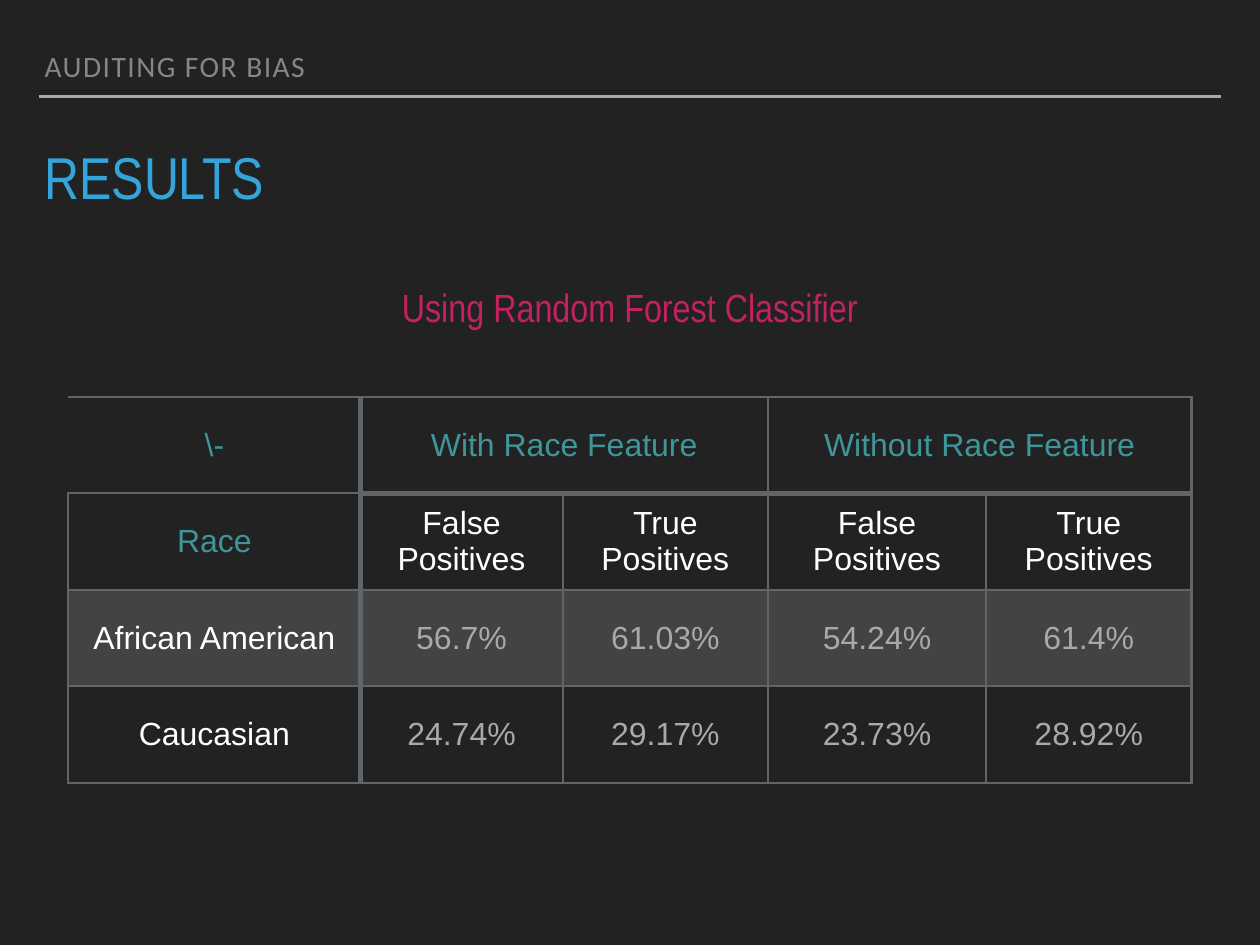
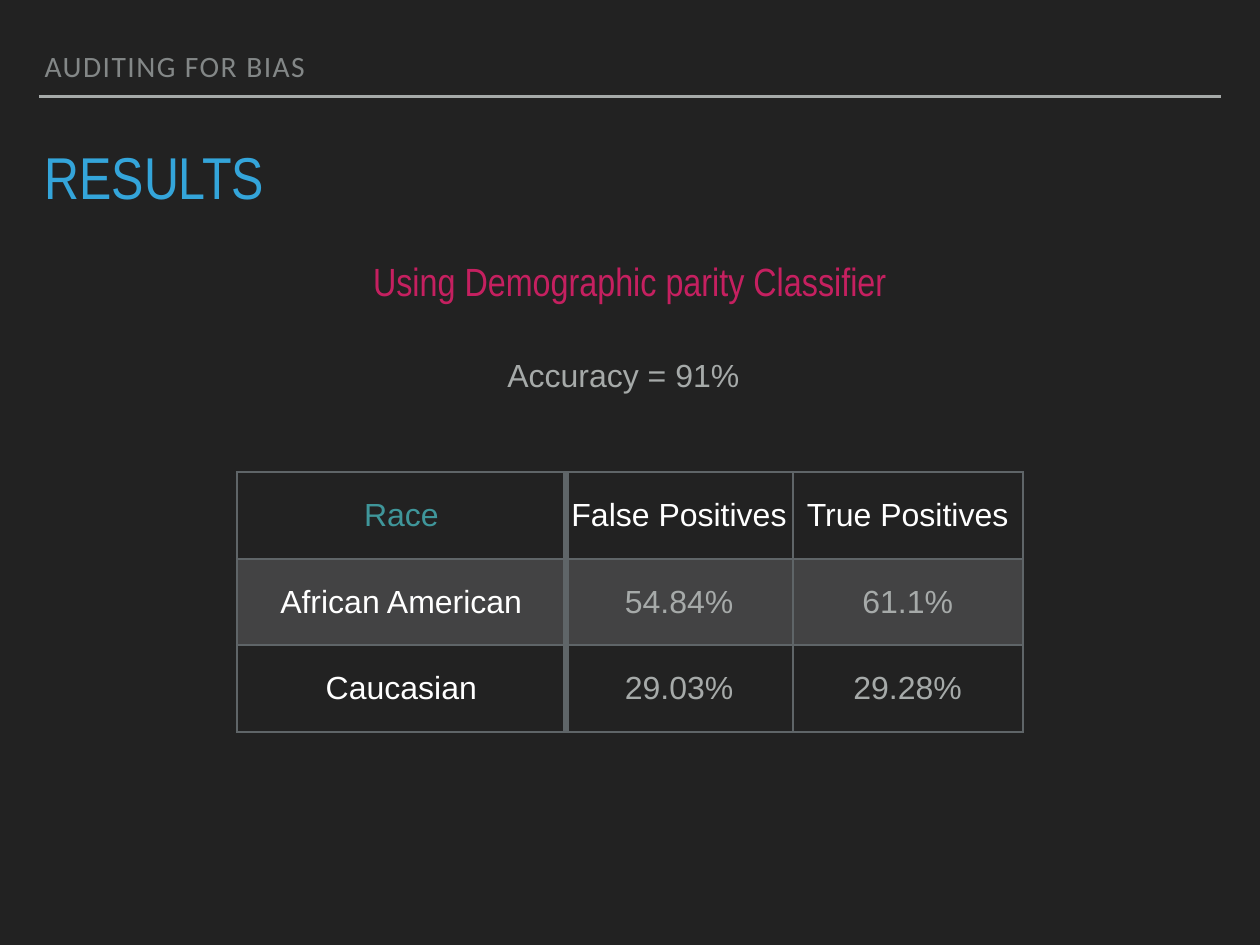
from lxml import etree
from pptx import Presentation
from pptx.dml.color import RGBColor
from pptx.enum.shapes import MSO_CONNECTOR
from pptx.enum.text import MSO_ANCHOR, PP_ALIGN
from pptx.oxml.ns import qn
from pptx.util import Inches, Pt

STRAIGHT = MSO_CONNECTOR.STRAIGHT
LEFT, CENTER = PP_ALIGN.LEFT, PP_ALIGN.CENTER
TOP, MIDDLE, BOTTOM = MSO_ANCHOR.TOP, MSO_ANCHOR.MIDDLE, MSO_ANCHOR.BOTTOM

WIDTH, HEIGHT = 14.22, 10.67
COLUMNS, ROWS = 64, 48
INSET = 0.06
THIN, THICK = 2, 5
COLORS = {
    "background": "222222",
    "rule": "A6AAA9",
    "header": "838787",
    "title": "34A5DA",
    "subtitle": "C52060",
    "heading": "3F969A",
    "label": "FFFFFF",
    "value": "A6AAA9",
    "border": "5F6568",
    "band": "DCDEE0",
}
BAND_OPACITY = 18


def across(columns):
    """Return the length of a number of grid columns."""
    return Inches(columns * WIDTH / COLUMNS)


def down(rows):
    """Return the length of a number of grid rows."""
    return Inches(rows * HEIGHT / ROWS)


def color(name):
    """Return a palette colour."""
    return RGBColor.from_string(COLORS[name])


def style_text(paragraph, size, tone, font="Arial", align=CENTER):
    """Align a paragraph and format its runs."""
    paragraph.alignment = align
    for span in paragraph.runs:
        span.font.size = Pt(size)
        span.font.name = font
        span.font.color.rgb = color(tone)


def add_text(page, text, left, top, width, height, size, tone,
             font="Arial", align=CENTER, anchor=MIDDLE):
    """Add a one-line text box on the grid and return its paragraph."""
    box = page.shapes.add_textbox(across(left), down(top), across(width), down(height))
    frame = box.text_frame
    frame.word_wrap = True
    frame.vertical_anchor = anchor
    frame.margin_left = frame.margin_right = Inches(INSET)
    frame.margin_top = frame.margin_bottom = Inches(INSET)
    frame.text = text
    para = frame.paragraphs[0]
    style_text(para, size, tone, font, align)
    return para


def add_subtitle(page, text, top):
    """Add the centred subtitle above a table."""
    add_text(page, text, 14, top, COLUMNS - 28, 2.93, 32, "subtitle", "Arial Narrow")


def add_rule(page, top):
    """Add the horizontal rule under the running header."""
    rule = page.shapes.add_connector(
        STRAIGHT, across(2), down(top), across(COLUMNS - 2), down(top))
    rule.line.color.rgb = color("rule")
    rule.line.width = Pt(2)
    etree.SubElement(rule._element.spPr, qn("a:effectLst"))


def add_page(deck, header, title):
    """Add a blank page with running header, rule and title."""
    page = deck.slides.add_slide(deck.slide_layouts[6])
    add_rule(page, 4.9)
    para = add_text(page, header, 2, 2.25, 55, 2.25, 24, "header", "Calibri", LEFT, BOTTOM)
    para.line_spacing = 0.8
    para.runs[0].font._element.set("spc", "120")
    para = add_text(page, title, 2, 7.56, 60, 3.55, 48, "title", "Arial Narrow", LEFT, TOP)
    para.line_spacing = 0.8
    return page


def set_borders(cell, widths):
    """Draw the left, right, top and bottom borders; zero means none."""
    properties = cell._tc.get_or_add_tcPr()
    for index, (side, width) in enumerate(zip("LRTB", widths)):
        line = etree.Element(qn(f"a:ln{side}"), w=str(Pt(width)))
        if width:
            fill = etree.SubElement(line, qn("a:solidFill"))
            etree.SubElement(fill, qn("a:srgbClr"), val=COLORS["border"])
        else:
            etree.SubElement(line, qn("a:noFill"))
        properties.insert(index, line)


def fill_cell(cell, banded):
    """Give a cell the translucent band or no fill."""
    if not banded:
        cell.fill.background()
        return
    cell.fill.solid()
    cell.fill.fore_color.rgb = color("band")
    tint = cell._tc.tcPr.find(f".//{qn('a:srgbClr')}")
    etree.SubElement(tint, qn("a:alpha"), val=str(BAND_OPACITY * 1000))


def cell_tone(text, row, column, header_row):
    """Choose the text colour from the place of a cell."""
    if row < header_row or (row == header_row and column == 0):
        return "heading"
    return "label" if row == header_row or column == 0 else "value"


def cell_borders(row, column, header_row):
    """Return border widths, thick beside labels and below group headings."""
    def upright(edge):
        """Return the width of a vertical edge."""
        if edge == 0 and row < header_row:
            return 0
        return THICK if edge == 1 else THIN

    def level(edge):
        """Return the width of a horizontal edge."""
        return THICK if edge == header_row > 0 and column > 0 else THIN

    return upright(column), upright(column + 1), level(row), level(row + 1)


def add_results(page, top, widths, row_height, rows, header_row=0):
    """Add a centred results table; None joins a cell to the one on its left."""
    total = sum(widths)
    table = page.shapes.add_table(
        len(rows), len(widths), across((COLUMNS - total) / 2), down(top),
        across(total), down(row_height * len(rows))).table
    table.first_row = table.horz_banding = False
    for column, width in zip(table.columns, widths):
        column.width = across(width)
    for row, texts in enumerate(rows):
        table.rows[row].height = down(row_height)
        for column, text in enumerate(texts):
            cell = table.cell(row, column)
            fill_cell(cell, row == header_row + 1)
            set_borders(cell, cell_borders(row, column, header_row))
            if text is None:
                table.cell(row, column - 1).merge(cell)
                continue
            cell.margin_left = cell.margin_right = Inches(INSET)
            cell.margin_top = cell.margin_bottom = Inches(INSET)
            cell.vertical_anchor = MIDDLE
            cell.text = text
            style_text(cell.text_frame.paragraphs[0], 26,
                       cell_tone(text, row, column, header_row))


def main():
    """Build the deck and save it."""
    deck = Presentation()
    deck.slide_width, deck.slide_height = Inches(WIDTH), Inches(HEIGHT)
    background = deck.slide_master.background.fill
    background.solid()
    background.fore_color.rgb = color("background")
    header, title = "AUDITING FOR BIAS", "RESULTS"
    measures = ["False Positives", "True Positives"]

    page = add_page(deck, header, title)
    add_results(page, 20.16, [14.85, 10.26, 10.44, 11.07, 10.44], 4.9, [
        ["\\-", "With Race Feature", None, "Without Race Feature", None],
        ["Race", *measures, *measures],
        ["African American", "56.7%", "61.03%", "54.24%", "61.4%"],
        ["Caucasian", "24.74%", "29.17%", "23.73%", "28.92%"],
    ], header_row=1)
    add_subtitle(page, "Using Random Forest Classifier", 14.13)

    page = add_page(deck, header, title)
    add_results(page, 23.98, [16.7, 11.52, 11.7], 4.4, [
        ["Race", *measures],
        ["African American", "54.84%", "61.1%"],
        ["Caucasian", "29.03%", "29.28%"],
    ])
    add_subtitle(page, "Using Demographic parity Classifier", 12.78)
    add_text(page, "Accuracy = 91%", 25.5, 17.68, 13, 2.75, 26, "value", align=LEFT)

    deck.save("out.pptx")


if __name__ == "__main__":
    main()
